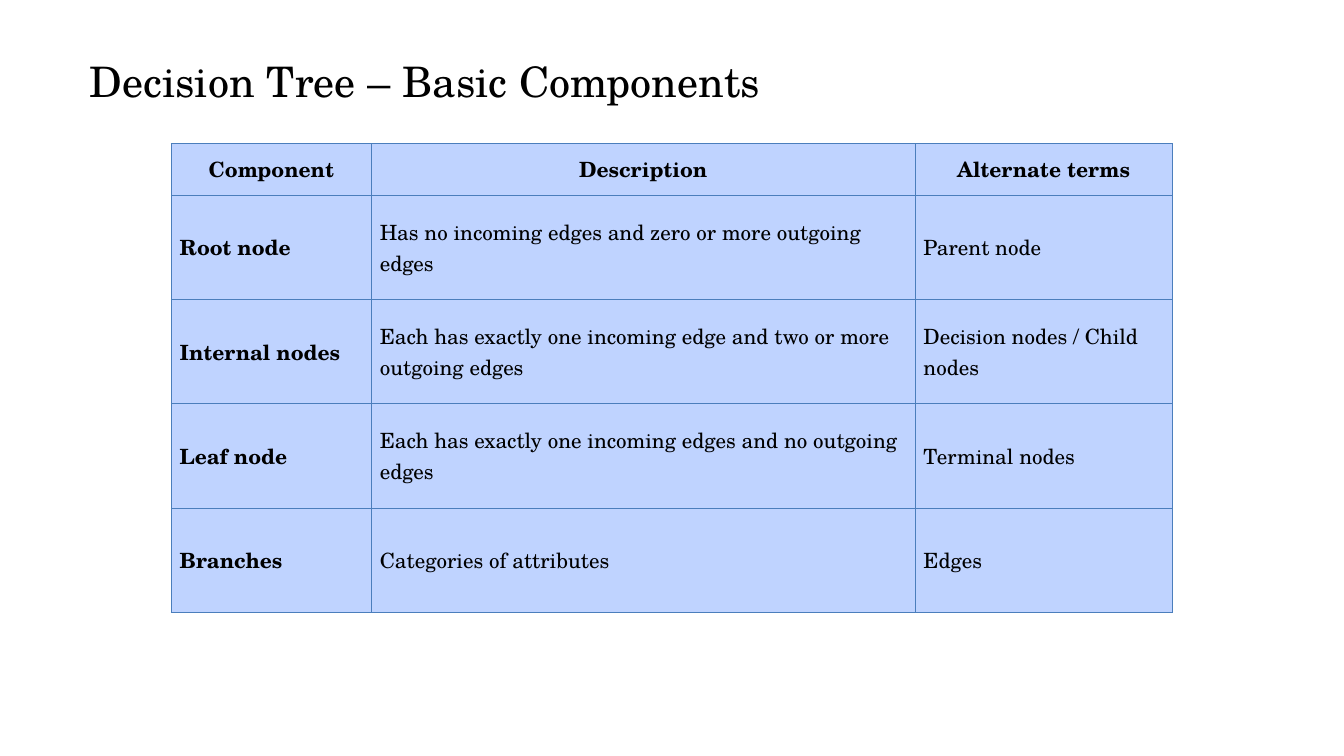
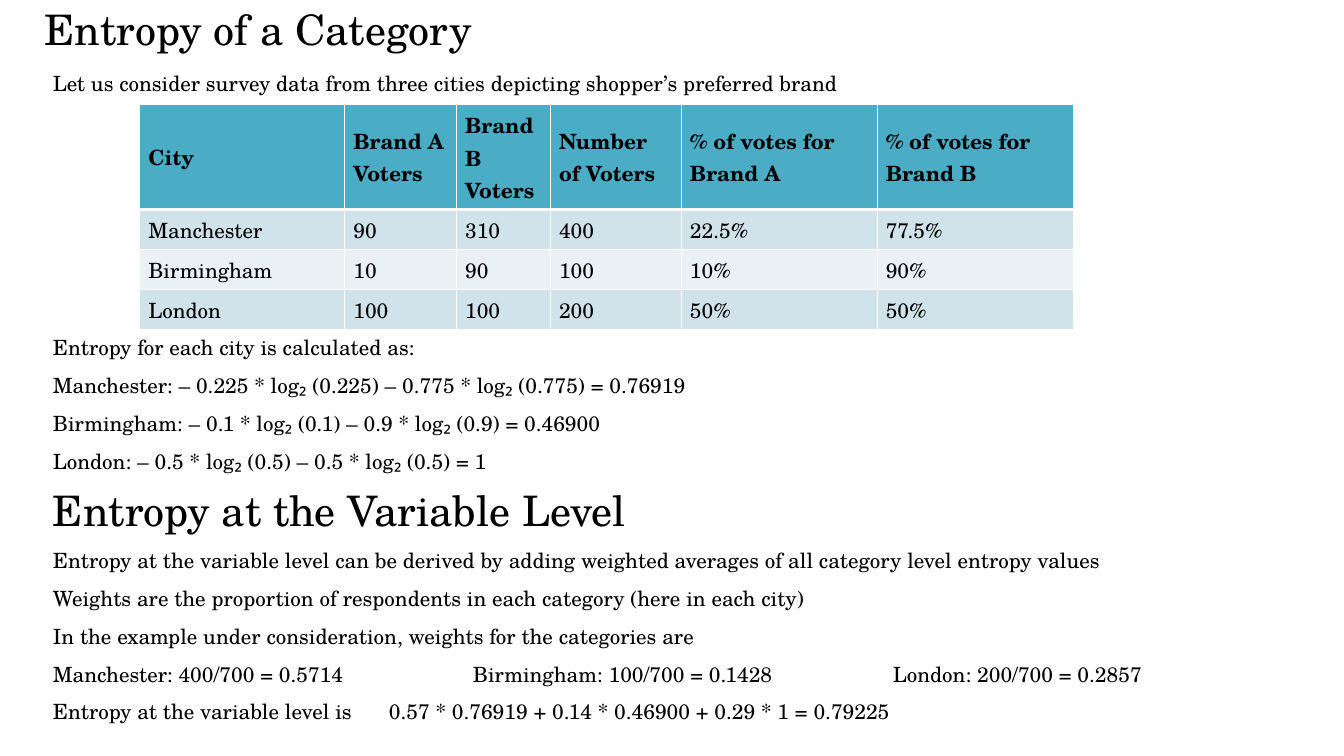
from dataclasses import dataclass

import lxml.etree
import pptx
import pptx.dml.color
import pptx.enum.text
import pptx.oxml.ns
import pptx.util

Cm = pptx.util.Cm
Pt = pptx.util.Pt
qn = pptx.oxml.ns.qn

FONT = "TeX Gyre Schola"
TITLE_SIZE = 36
BODY_SIZE = 18
COLORS = {
    "text": "000000",
    "white": "FFFFFF",
    "component": "BFD3FF",
    "component_line": "4B7EBC",
    "header": "4BACC6",
    "band_dark": "D0E3EA",
    "band_light": "E9F1F5",
}


@dataclass(frozen=True)
class Para:
    text: str
    size: float = BODY_SIZE
    before: float = 0
    tabs: tuple[float, ...] = ()


@dataclass(frozen=True)
class TableSpec:
    left: float
    top: float
    cols: tuple[float, ...]
    head_height: float
    row_height: float
    rows: tuple[tuple[str, ...], ...]
    head_fill: str
    bands: tuple[str, ...]
    line: str
    line_width: float
    head_rule: float
    head_align: pptx.enum.text.PP_ALIGN = pptx.enum.text.PP_ALIGN.LEFT
    bold_first_col: bool = False


COMPONENTS = TableSpec(
    left=5.18, top=4.34, cols=(6.05, 16.44, 7.78),
    head_height=1.57, row_height=3.15,
    rows=(
        ("Component", "Description", "Alternate terms"),
        ("Root node", "Has no incoming edges and zero or more outgoing edges", "Parent node"),
        ("Internal nodes", "Each has exactly one incoming edge and two or more outgoing edges",
         "Decision nodes / Child nodes"),
        ("Leaf node", "Each has exactly one incoming edges and no outgoing edges", "Terminal nodes"),
        ("Branches", "Categories of attributes", "Edges"),
    ),
    head_fill="component", bands=("component",),
    line="component_line", line_width=0.75, head_rule=0.75,
    head_align=pptx.enum.text.PP_ALIGN.CENTER, bold_first_col=True,
)

SURVEY = TableSpec(
    left=4.23, top=3.17, cols=(6.2, 3.38, 2.84, 3.96, 5.92, 5.92),
    head_height=3.17, row_height=1.21,
    rows=(
        ("City", "Brand A Voters", "Brand B Voters", "Number of Voters",
         "% of votes for Brand A", "% of votes for Brand B"),
        ("Manchester", "90", "310", "400", "22.5%", "77.5%"),
        ("Birmingham", "10", "90", "100", "10%", "90%"),
        ("London", "100", "100", "200", "50%", "50%"),
    ),
    head_fill="header", bands=("band_dark", "band_light"),
    line="white", line_width=1, head_rule=3,
)

CATEGORY_TEXT = (
    Para("Let us consider survey data from three cities depicting shopper’s preferred brand"),
    Para("Entropy for each city is calculated as:", before=194),
    Para("Manchester: – 0.225 * log₂ (0.225) – 0.775 * log₂ (0.775) = 0.76919\n"
         "Birmingham: – 0.1 * log₂ (0.1) – 0.9 * log₂ (0.9) = 0.46900\n"
         "London: – 0.5 * log₂ (0.5) – 0.5 * log₂ (0.5) = 1"),
)

VARIABLE_TEXT = (
    Para("Entropy at the Variable Level", size=TITLE_SIZE),
    Para("Entropy at the variable level can be derived by adding weighted averages"
         " of all category level entropy values"),
    Para("Weights are the proportion of respondents in each category (here in each city)\n"
         "In the example under consideration, weights for the categories are\n"
         "Manchester: 400/700 = 0.5714\tBirmingham: 100/700 = 0.1428\tLondon: 200/700 = 0.2857",
         tabs=(12.7, 25.4)),
    Para("Entropy at the variable level is\t0.57 * 0.76919 + 0.14 * 0.46900 + 0.29 * 1 = 0.79225",
         tabs=(10.16,)),
)


def rgb(name: str) -> pptx.dml.color.RGBColor:
    return pptx.dml.color.RGBColor.from_string(COLORS[name])


def write(p, text: str, *, size: float = BODY_SIZE, bold: bool = False,
          spacing: float = 1, before: float = 0, tabs: tuple[float, ...] = (),
          align=pptx.enum.text.PP_ALIGN.LEFT) -> None:
    p.alignment = align
    p.line_spacing = spacing
    if before:
        p.space_before = Pt(before)
    if tabs:
        tab_list = lxml.etree.SubElement(p._p.get_or_add_pPr(), qn("a:tabLst"))
        for pos in tabs:
            lxml.etree.SubElement(tab_list, qn("a:tab"), pos=str(int(Cm(pos))), algn="l")
    for i, line in enumerate(text.split("\n")):
        if i:
            p.add_line_break()
        r = p.add_run()
        r.text = line
        r.font.name = FONT
        r.font.size = Pt(size)
        r.font.bold = bold
        r.font.color.rgb = rgb("text")


def add_box(s, left: float, top: float, width: float, height: float):
    tf = s.shapes.add_textbox(Cm(left), Cm(top), Cm(width), Cm(height)).text_frame
    tf.word_wrap = True
    return tf


def add_title(s, text: str, left: float, top: float, height: float) -> None:
    tf = add_box(s, left, top, 37.92, height)
    tf.margin_left = tf.margin_top = tf.margin_right = tf.margin_bottom = 0
    write(tf.paragraphs[0], text, size=TITLE_SIZE)


def add_body(s, paras: tuple[Para, ...], left: float, top: float, width: float, height: float) -> None:
    tf = add_box(s, left, top, width, height)
    for i, para in enumerate(paras):
        p = tf.add_paragraph() if i else tf.paragraphs[0]
        write(p, para.text, size=para.size, before=para.before, tabs=para.tabs, spacing=1.5)


def set_border(cell, side: str, color: str, width: float) -> None:
    ln = lxml.etree.SubElement(cell._tc.get_or_add_tcPr(), qn(f"a:ln{side}"), w=str(int(Pt(width))))
    fill = lxml.etree.SubElement(ln, qn("a:solidFill"))
    lxml.etree.SubElement(fill, qn("a:srgbClr"), val=COLORS[color])


def add_table(s, spec: TableSpec) -> None:
    heights = [spec.head_height] + [spec.row_height] * (len(spec.rows) - 1)
    table = s.shapes.add_table(len(spec.rows), len(spec.cols), Cm(spec.left), Cm(spec.top),
                               Cm(sum(spec.cols)), Cm(sum(heights))).table
    table.first_row = table.horz_banding = False
    for col, width in zip(table.columns, spec.cols):
        col.width = Cm(width)
    for i, (row, height) in enumerate(zip(table.rows, heights)):
        row.height = Cm(height)
        head = i == 0
        fill = spec.head_fill if head else spec.bands[(i - 1) % len(spec.bands)]
        widths = {side: spec.line_width for side in "LRTB"}
        if i < 2:
            widths["B" if head else "T"] = spec.head_rule
        for j, cell in enumerate(row.cells):
            for side, width in widths.items():
                set_border(cell, side, spec.line, width)
            cell.fill.solid()
            cell.fill.fore_color.rgb = rgb(fill)
            cell.vertical_anchor = pptx.enum.text.MSO_ANCHOR.MIDDLE
            write(cell.text_frame.paragraphs[0], spec.rows[i][j],
                  bold=head or (spec.bold_first_col and j == 0),
                  align=spec.head_align if head else pptx.enum.text.PP_ALIGN.LEFT)


def add_slide(prs):
    s = prs.slides.add_slide(prs.slide_layouts[6])
    s.background.fill.solid()
    s.background.fill.fore_color.rgb = rgb("white")
    return s


def main() -> None:
    prs = pptx.Presentation()
    prs.slide_width = Cm(40.64)
    prs.slide_height = Cm(22.86)

    s = add_slide(prs)
    add_title(s, "Decision Tree – Basic Components", 2.72, 1.68, 1.57)
    add_table(s, COMPONENTS)

    s = add_slide(prs)
    add_title(s, "Entropy of a Category", 1.35, 0.1, 3.18)
    add_table(s, SURVEY)
    add_body(s, CATEGORY_TEXT, 1.35, 1.63, 39.8, 12.83)
    add_body(s, VARIABLE_TEXT, 1.35, 13.77, 38.5, 9.37)

    prs.save("out.pptx")


if __name__ == "__main__":
    main()
